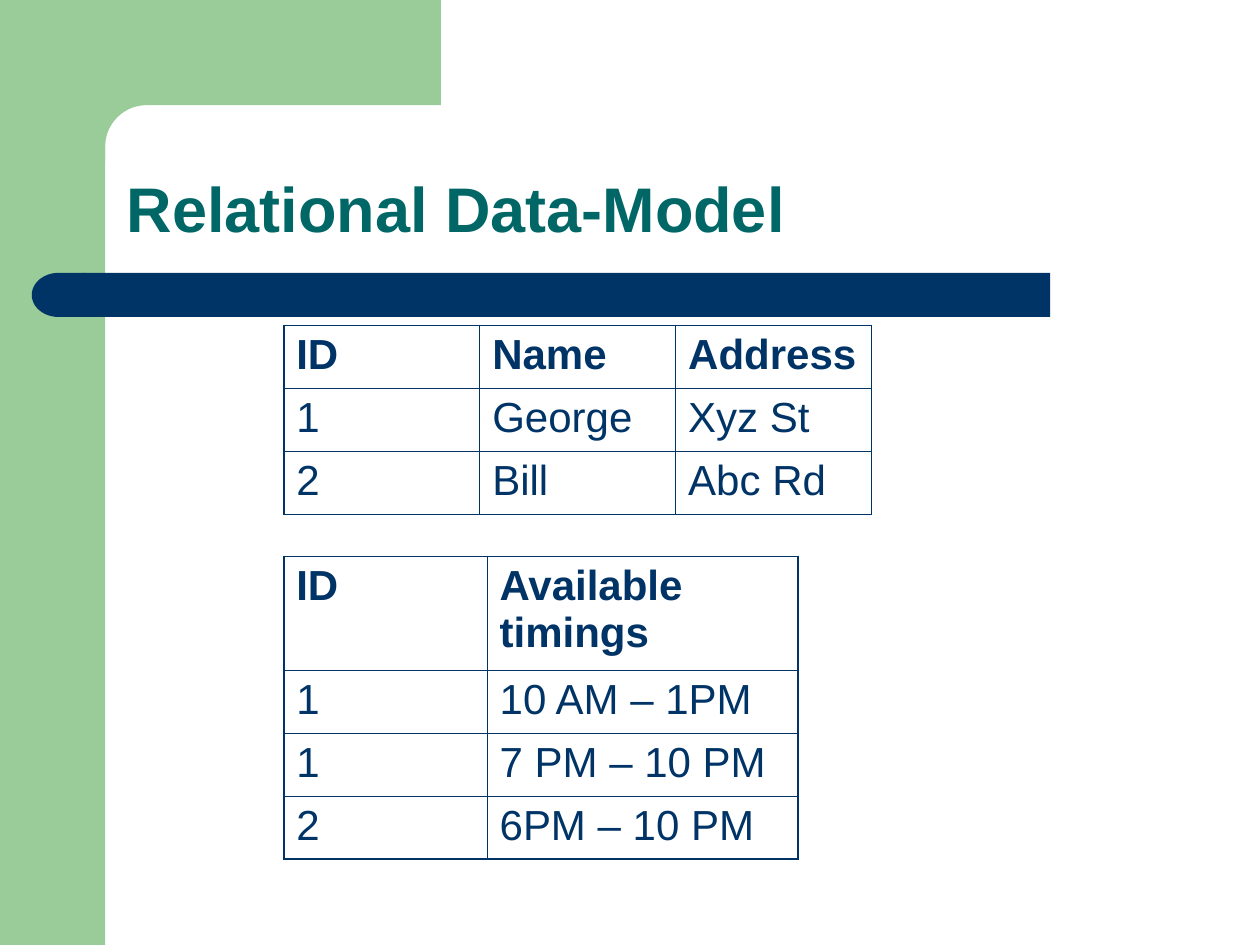
from math import cos, pi, sin

from lxml.etree import SubElement
from pptx import Presentation
from pptx.dml.color import RGBColor
from pptx.enum.shapes import MSO_SHAPE as Shape
from pptx.enum.text import MSO_ANCHOR as Anchor
from pptx.oxml import parse_xml
from pptx.oxml.ns import nsdecls, qn
from pptx.util import Cm, Pt

GREEN, NAVY, TEAL = "99CC99", "003366", "006666"
THIN, THICK = 0.45, 1.08


def rgb(code):
    return RGBColor.from_string(code)


class Page:
    """Holds the font and the slide being drawn; lengths are in cm."""

    def __init__(self, slide, font="Arial"):
        self.shapes = slide.shapes
        self.font = font

    def paint(self, shape, color):
        shape.shadow.inherit = False
        shape.fill.solid()
        shape.fill.fore_color.rgb = rgb(color)
        shape.line.fill.background()
        return shape

    def block(self, kind, box, color):
        return self.paint(self.shapes.add_shape(kind, *map(Cm, box)), color)

    def outline(self, points, color):
        pts = [(Cm(x), Cm(y)) for x, y in points]
        pen = self.shapes.build_freeform(*pts[0])
        pen.add_line_segments(pts[1:])
        return self.paint(pen.convert_to_shape(), color)

    def add_text(self, para, text, size, color, bold=False):
        run = para.add_run()
        run.text = text
        font = run.font
        font.name, font.size, font.bold = self.font, Pt(size), bold
        font.color.rgb = rgb(color)

    def title(self, text, box):
        frame = self.shapes.add_textbox(*map(Cm, box)).text_frame
        frame.word_wrap = True
        frame.vertical_anchor = Anchor.BOTTOM
        para = frame.paragraphs[0]
        para.line_spacing = 0.9
        self.add_text(para, text, 36, TEAL, True)

    def edge(self, cell, widths):
        """Draw the left, right, top and bottom borders, in points."""
        props = cell._tc.get_or_add_tcPr()
        for i, (side, width) in enumerate(zip("LRTB", widths)):
            line = parse_xml(f'<a:ln{side} {nsdecls("a")} w="{Pt(width)}"/>')
            fill = SubElement(line, qn("a:solidFill"))
            SubElement(fill, qn("a:srgbClr"), val=NAVY)
            props.insert(i, line)

    def table(self, left, top, cols, rows, data):
        box = map(Cm, (left, top, sum(cols), sum(rows)))
        grid = self.shapes.add_table(len(rows), len(cols), *box).table
        grid.first_row = grid.horz_banding = False
        for col, width in zip(grid.columns, cols):
            col.width = Cm(width)
        for row, height in zip(grid.rows, rows):
            row.height = Cm(height)
        for r, line in enumerate(data):
            for c, text in enumerate(line):
                cell = grid.cell(r, c)
                cell.fill.background()
                outer = (c == 0, c == len(cols) - 1,
                         r == 0, r == len(rows) - 1)
                self.edge(cell, [THICK if out else THIN for out in outer])
                para = cell.text_frame.paragraphs[0]
                self.add_text(para, text, 24, NAVY, r == 0)


def corner(x, y, radius, steps=16):
    """Points of a quarter circle from its top to its left end."""
    turns = [pi / 2 * i / steps for i in range(steps + 1)]
    return [(x - radius * sin(t), y - radius * cos(t)) for t in turns]


def main():
    deck = Presentation()
    deck.slide_width, deck.slide_height = Cm(25.4), Cm(19.05)
    page = Page(deck.slides.add_slide(deck.slide_layouts[6]))

    side, bend = 2.12, 0.84
    page.block(Shape.RECTANGLE, (0, 0, side, 19.05), GREEN)
    arc = corner(side + bend, side + bend, bend)
    page.outline([(8.89, 0), (8.89, side), *arc,
                  (side, 3.25), (1.27, 3.25), (1.27, 0)], GREEN)

    bar = page.block(Shape.ROUNDED_RECTANGLE, (1.69, 5.5, 19.48, 0.89), NAVY)
    bar.adjustments[0] = 0
    cap = page.block(Shape.FLOWCHART_DELAY, (0.64, 5.5, 1.08, 0.89), NAVY)
    cap.rotation = 180

    page.title("Relational Data-Model", (2.31, 2.31, 21.62, 2.77))

    left, row = 5.72, 1.27
    page.table(left, 6.56, [3.95] * 3, [row] * 3, [
        ("ID", "Name", "Address"),
        ("1", "George", "Xyz St"),
        ("2", "Bill", "Abc Rd"),
    ])
    page.table(left, 11.22, [4.1, 6.27], [2.28] + [row] * 3, [
        ("ID", "Available timings"),
        ("1", "10 AM – 1PM"),
        ("1", "7 PM – 10 PM"),
        ("2", "6PM – 10 PM"),
    ])
    deck.save("out.pptx")


if __name__ == "__main__":
    main()
